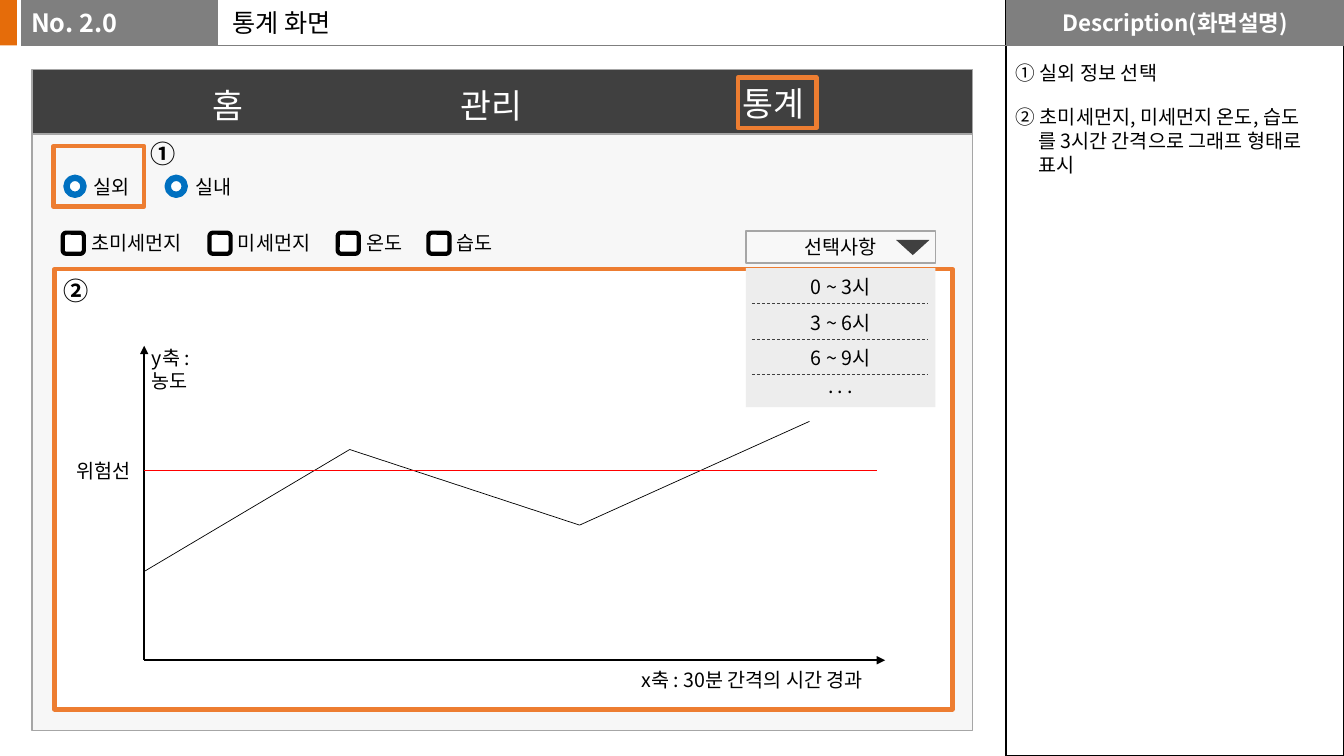
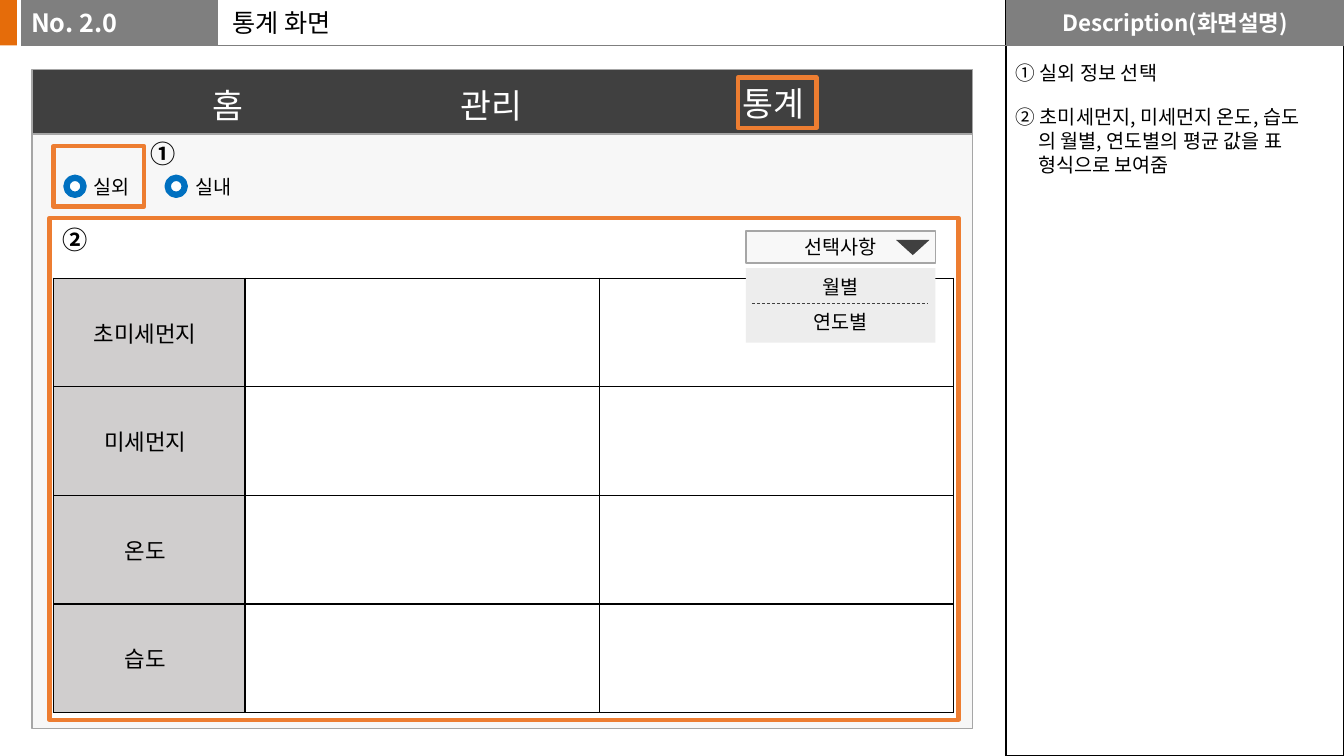
from typing import NamedTuple, Optional

from lxml import etree
from pptx import Presentation
from pptx.dml.color import RGBColor
from pptx.enum.dml import MSO_LINE
from pptx.enum.shapes import MSO_CONNECTOR, MSO_SHAPE
from pptx.enum.text import MSO_ANCHOR, PP_ALIGN
from pptx.oxml.ns import qn
from pptx.util import Pt

RECT, ROUND = MSO_SHAPE.RECTANGLE, MSO_SHAPE.ROUNDED_RECTANGLE
OVAL, WEDGE = MSO_SHAPE.OVAL, MSO_SHAPE.ISOSCELES_TRIANGLE
STRAIGHT, DASH = MSO_CONNECTOR.STRAIGHT, MSO_LINE.DASH
LEFT, CENTER = PP_ALIGN.LEFT, PP_ALIGN.CENTER
TOP, MIDDLE = MSO_ANCHOR.TOP, MSO_ANCHOR.MIDDLE

FONT = "Noto Sans CJK KR"
BLACK = RGBColor(0x00, 0x00, 0x00)
WHITE = RGBColor(0xFF, 0xFF, 0xFF)
GRAY = RGBColor(0x7F, 0x7F, 0x7F)
DARK = RGBColor(0x40, 0x40, 0x40)
EDGE = RGBColor(0xA6, 0xA6, 0xA6)
PALE = RGBColor(0xED, 0xED, 0xED)
LIGHT = RGBColor(0xF8, 0xF8, 0xF8)
HEAD = RGBColor(0xD0, 0xCE, 0xCE)
TAB = RGBColor(0xE5, 0x6C, 0x0A)
ORANGE = RGBColor(0xED, 0x7D, 0x31)
BLUE = RGBColor(0x00, 0x70, 0xC0)
RED = RGBColor(0xFF, 0x00, 0x00)

WIDE, HIGH = 960, 540
BAND = 32.4          # height of the title band
SIDE = 718.6         # left edge of the description column
MENU, SPAN = 532.8, 135.4    # left edge and width of the drop-down


class Box(NamedTuple):
    left: float
    top: float
    width: float
    height: float


class Style(NamedTuple):
    size: float = 14
    color: RGBColor = BLACK
    bold: bool = False
    align: PP_ALIGN = LEFT
    anchor: MSO_ANCHOR = TOP


class Pen(NamedTuple):
    color: RGBColor
    width: float


class Choice(NamedTuple):
    text: str
    left: float


BODY = Style()
MID = Style(align=CENTER)
BADGE = Style(18, bold=True)
NAV = Style(24, WHITE)
FRAME = Pen(ORANGE, 3)

TABS = [Choice("홈", 144.7), Choice("관리", 321.8), Choice("통계", 523.4)]
RADIOS = [Choice("실외", 47.5), Choice("실내", 119.8)]
CHECKS = [Choice("초미세먼지", 44.8), Choice("미세먼지", 149.6),
          Choice("온도", 241.2), Choice("습도", 306)]
CURVE = [(103, 408.2), (249.8, 321.1), (414, 375.1), (578.2, 301)]


# Text
def write(frame, text: str, style: Style) -> None:
    frame.word_wrap = True
    frame.vertical_anchor = style.anchor
    for i, line in enumerate(text.split("\n")):
        para = frame.add_paragraph() if i else frame.paragraphs[0]
        para.text = line
        para.alignment = style.align
        font = para.font
        font.size, font.bold, font.name = Pt(style.size), style.bold, FONT
        font.color.rgb = style.color
        props = para._p.pPr.find(qn("a:defRPr"))
        etree.SubElement(props, qn("a:ea")).set("typeface", FONT)


def label(slide, box: Box, text: str, style: Style = BODY):
    frame = slide.shapes.add_textbox(*map(Pt, box)).text_frame
    write(frame, text, style)
    return frame


# Shapes and lines
def shape(slide, kind: MSO_SHAPE, box: Box, fill: Optional[RGBColor] = None,
          pen: Optional[Pen] = None, text: str = "", style: Style = BODY):
    item = slide.shapes.add_shape(kind, *map(Pt, box))
    item.shadow.inherit = False
    if fill is None:
        item.fill.background()
    else:
        item.fill.solid()
        item.fill.fore_color.rgb = fill
    if pen is None:
        item.line.fill.background()
    else:
        item.line.color.rgb, item.line.width = pen.color, Pt(pen.width)
    if text:
        write(item.text_frame, text, style)
    return item


def rule(slide, start: tuple[float, float], end: tuple[float, float], pen: Pen,
         dash: bool = False, arrow: bool = False) -> None:
    item = slide.shapes.add_connector(STRAIGHT, *map(Pt, start + end))
    item.line.color.rgb, item.line.width = pen.color, Pt(pen.width)
    if dash:
        item.line.dash_style = DASH
    if arrow:
        line = item.line._get_or_add_ln()
        etree.SubElement(line, qn("a:tailEnd")).set("type", "triangle")
    etree.SubElement(item._element.spPr, qn("a:effectLst"))


# Parts that both slides share
def base(deck, top: float, notes: list[str]):
    slide = deck.slides.add_slide(deck.slide_layouts[6])

    # Title band and description column
    column = WIDE - SIDE
    shape(slide, RECT, Box(SIDE, 0, column, HIGH), pen=Pen(BLACK, 1))
    shape(slide, RECT, Box(SIDE, 0, column, BAND), GRAY, text="Description(화면설명)",
          style=Style(16, WHITE, True, CENTER, MIDDLE))
    label(slide, Box(159.1, 1.4, 540, 29), "통계 화면", Style(18))
    rule(slide, (WIDE, BAND), (15.1, BAND), Pen(GRAY, 0.5))
    shape(slide, RECT, Box(15.1, 0, 140.6, BAND), GRAY, text="No. 2.0",
          style=Style(18, WHITE, True, anchor=MIDDLE))
    shape(slide, RECT, Box(0, 0, 12.2, BAND), TAB)
    frame = label(slide, Box(SIDE, 40.3, column, 90), "\n".join(notes))
    for para in frame.paragraphs:
        para.space_after = Pt(14.6)
        props = para._p.pPr
        props.set("marL", str(Pt(15.8)))
        props.set("indent", str(-Pt(15.8)))

    # Screen with its menu bar
    panel = shape(slide, RECT, Box(23, top, 671.8, 468), PALE, Pen(EDGE, 1))
    tint = panel._element.spPr.find(qn("a:solidFill"))[0]
    etree.SubElement(tint, qn("a:alpha")).set("val", "40000")
    shape(slide, RECT, Box(23, 49.7, 671.8, 46), DARK, Pen(EDGE, 1))
    for tab in TABS:
        lift = 1.4 if tab is TABS[-1] else 0
        label(slide, Box(tab.left, 56.9 - lift, 90, 36), tab.text, NAV)
    shape(slide, RECT, Box(527, 55.4, 56.2, 36), pen=FRAME)

    # Place selector
    for radio in RADIOS:
        shape(slide, OVAL, Box(radio.left, 127, 12.2, 12.2), WHITE, Pen(BLUE, 4.5))
        label(slide, Box(radio.left + 12.4, 121.2, 60, 24.5), radio.text)
    shape(slide, RECT, Box(38.2, 104.4, 64.8, 43.2), pen=FRAME)
    label(slide, Box(100.1, 95, 40, 29), "①", BADGE)
    return slide


def menu(slide, height: float, items: list[str]) -> None:
    shape(slide, RECT, Box(MENU, 164.9, SPAN, 23), LIGHT, Pen(EDGE, 1),
          "선택사항", Style(align=CENTER, anchor=MIDDLE))
    arrow = shape(slide, WEDGE, Box(640.1, 171.4, 23.8, 10.8), DARK)
    arrow.rotation = 180
    top, pitch = 191.5, 25.3
    shape(slide, RECT, Box(MENU, top, SPAN, height), PALE)
    for i, item in enumerate(items):
        # The last row is kept inside the list
        row = min(top + 1.5 + pitch * i, top + height - 27)
        label(slide, Box(MENU, row, SPAN, 24.5), item, MID)
        if i:
            y = top + pitch * i
            rule(slide, (537.1, y), (662.8, y), Pen(DARK, 0.5), dash=True)


# Slide 1: graph
def graph(deck) -> None:
    slide = base(deck, 54, [
        "① 실외 정보 선택",
        "② 초미세먼지, 미세먼지 온도, 습도\v를 3시간 간격으로 그래프 형태로\v표시"])
    for check in CHECKS:
        shape(slide, ROUND, Box(check.left, 166.2, 15.1, 15.1), WHITE, Pen(BLACK, 3))
        label(slide, Box(check.left + 13.3, 161.3, 94.3, 24.5), check.text)
    shape(slide, RECT, Box(38.9, 192.2, 641.5, 314.6), WHITE, FRAME)
    label(slide, Box(38.2, 193, 40, 29), "②", BADGE)

    # Axes
    zero = (103, 471.6)
    for end in ((103, 247), (632.2, 471.6)):
        rule(slide, zero, end, Pen(BLACK, 1.5), arrow=True)
    label(slide, Box(101.4, 243.4, 82, 42), "y축 :\v농도")
    label(slide, Box(451, 473.8, 200, 24.5), "x축 : 30분 간격의 시간 경과")

    # Curve and danger line
    for start, end in zip(CURVE, CURVE[1:]):
        rule(slide, start, end, Pen(BLACK, 0.5))
    rule(slide, (103, 336.2), (626.4, 336.2), Pen(RED, 0.5))
    label(slide, Box(47.5, 324, 94.3, 24.5), "위험선")
    menu(slide, 99.4, ["0 ~ 3시", "3 ~ 6시", "6 ~ 9시", ". . ."])


# Slide 2: table
def border(cell) -> None:
    props = cell._tc.get_or_add_tcPr()
    for side in ("lnL", "lnR", "lnT", "lnB"):
        line = etree.SubElement(props, qn(f"a:{side}"))
        line.set("w", str(Pt(1)))
        fill = etree.SubElement(line, qn("a:solidFill"))
        etree.SubElement(fill, qn("a:srgbClr")).set("val", str(BLACK))


def grid(deck) -> None:
    slide = base(deck, 52.6, [
        "① 실외 정보 선택",
        "② 초미세먼지, 미세먼지 온도, 습도\v의 월별, 연도별의 평균 값을 표\v형식으로 보여줌"])
    shape(slide, RECT, Box(35.3, 155.5, 649.4, 358.6), WHITE, FRAME)
    label(slide, Box(37.4, 157, 40, 29), "②", BADGE)

    # Averages
    widths = (136.8, 253.1, 253.1)
    box = Box(38.2, 198.7, sum(widths), 310.3)
    table = slide.shapes.add_table(len(CHECKS), len(widths), *map(Pt, box)).table
    table.first_row = table.horz_banding = False
    for column, width in zip(table.columns, widths):
        column.width = Pt(width)
    for cell in table.iter_cells():
        border(cell)
        cell.fill.solid()
        cell.fill.fore_color.rgb = WHITE
    for i, check in enumerate(CHECKS):
        cell = table.cell(i, 0)
        cell.fill.fore_color.rgb = HEAD
        cell.margin_right = Pt(13)
        cell.vertical_anchor = MIDDLE
        write(cell.text_frame, check.text, Style(16, align=CENTER, anchor=MIDDLE))
    menu(slide, 53.3, ["월별", "연도별"])


def main() -> None:
    deck = Presentation()
    deck.slide_width, deck.slide_height = Pt(WIDE), Pt(HIGH)
    graph(deck)
    grid(deck)
    deck.save("out.pptx")


if __name__ == "__main__":
    main()
